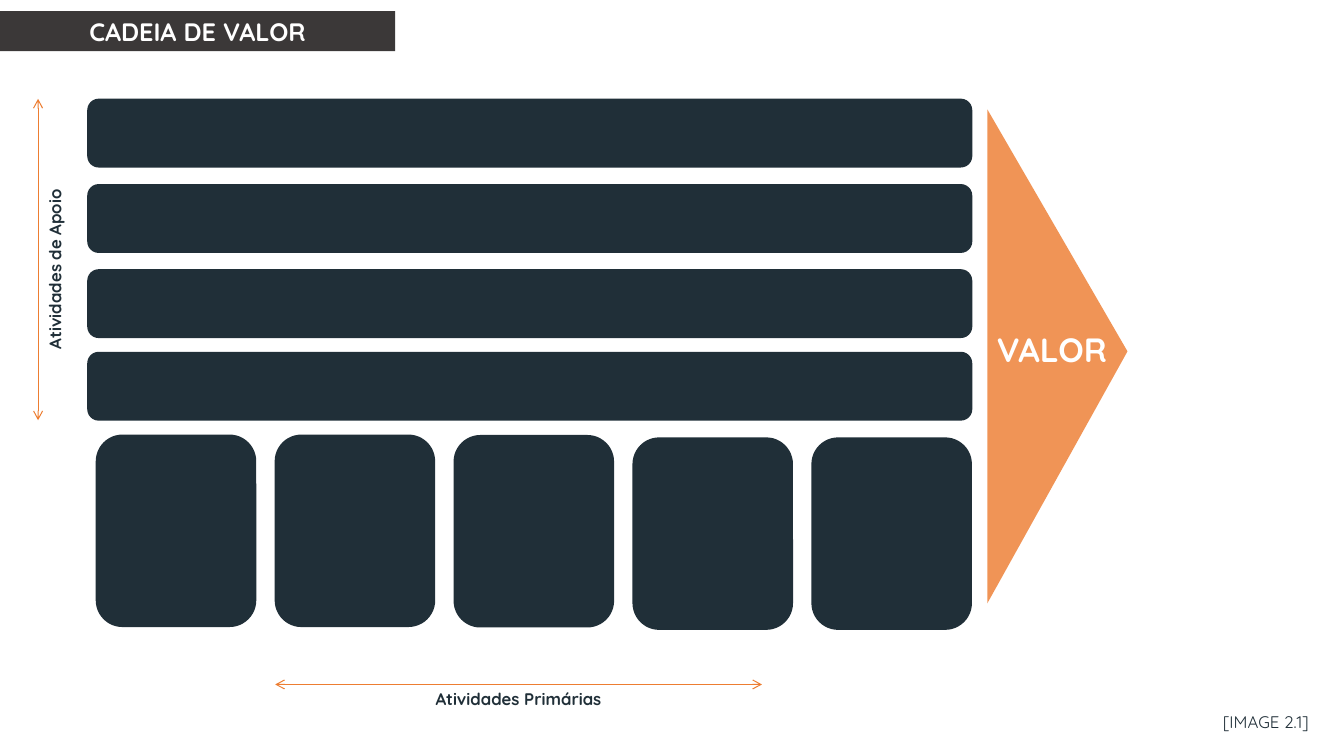
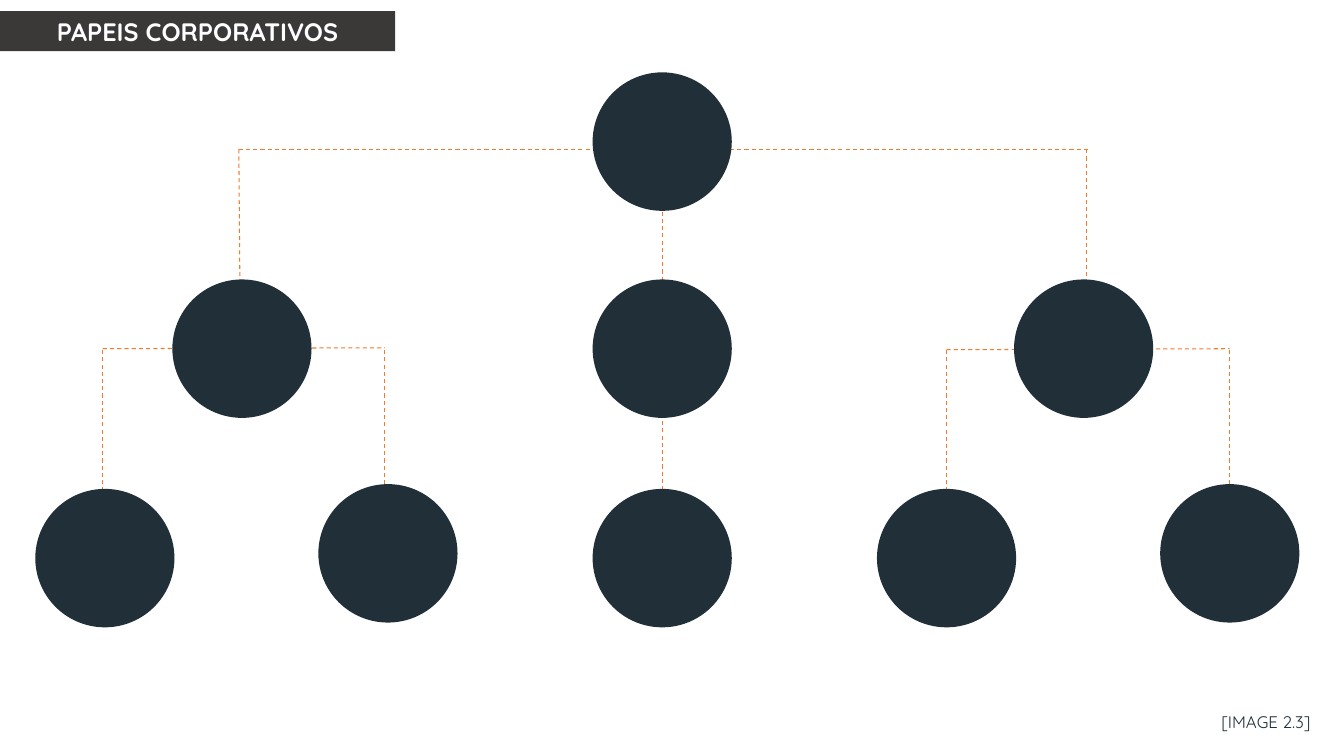
from dataclasses import dataclass

from pptx import Presentation
from pptx.dml.color import RGBColor
from pptx.enum.dml import MSO_LINE
from pptx.enum.shapes import MSO_CONNECTOR, MSO_SHAPE
from pptx.enum.text import MSO_ANCHOR, MSO_AUTO_SIZE, PP_ALIGN
from pptx.oxml.ns import qn
from pptx.shapes.autoshape import Shape
from pptx.slide import Slide
from pptx.util import Pt
from lxml import etree

RECTANGLE = MSO_SHAPE.RECTANGLE
ROUNDED = MSO_SHAPE.ROUNDED_RECTANGLE
TRIANGLE = MSO_SHAPE.ISOSCELES_TRIANGLE
OVAL = MSO_SHAPE.OVAL
STRAIGHT = MSO_CONNECTOR.STRAIGHT
DASH = MSO_LINE.DASH
MIDDLE = MSO_ANCHOR.MIDDLE
CENTER = PP_ALIGN.CENTER
GROW = MSO_AUTO_SIZE.SHAPE_TO_FIT_TEXT

FONT = "Quicksand"
COLORS = {
    "navy": "202F38",
    "band": "3B3838",
    "value": "F09456",
    "line": "ED7D31",
    "white": "FFFFFF",
}


@dataclass(frozen=True)
class Box:
    left: float
    top: float
    width: float
    height: float


@dataclass(frozen=True)
class TextStyle:
    size: float
    color: str
    bold: bool = True


@dataclass(frozen=True)
class Label:
    text: str
    box: Box
    style: TextStyle
    wrap: bool = False
    rotation: float = 0


@dataclass(frozen=True)
class Line:
    start_x: float
    start_y: float
    end_x: float
    end_y: float


TITLE_STYLE = TextStyle(18, "white")
VALUE_STYLE = TextStyle(24, "white")
LABEL_STYLE = TextStyle(12, "navy")
FOOTER_STYLE = TextStyle(12, "navy", bold=False)

TITLE_BOX = Box(0, 8, 282.2, 28.6)
FOOTER_BOX = Box(862.5, 504.7, 83.5, 21.8)

SUPPORT_TOPS = (70.5, 131.5, 192.3, 251.3)
PRIMARY_TOPS = (310.4, 310.4, 310.7, 312.4, 312.4)
PRIMARY_LEFT = 68.4
PRIMARY_STEP = 127.8
VALUE_BOX = Box(578.9, 204.5, 352.8, 100.1)

CHAIN_LABELS = (
    Label("VALOR", Box(701.3, 231.1, 100.1, 36), VALUE_STYLE, wrap=True),
    Label("Atividades Primárias", Box(303.8, 488.2, 133.2, 21.8), LABEL_STYLE),
    Label("Atividades de Apoio", Box(-28.1, 181.4, 134.6, 21.8), LABEL_STYLE,
          rotation=270),
)
CHAIN_ARROWS = (
    Line(196.6, 488.9, 544.3, 488.9),
    Line(27.2, 70.6, 27.2, 300.2),
)

NODE_WIDTH = 99.4
NODE_HEIGHT = 98.9
LEFT_X, CENTER_X, RIGHT_X = 123.1, 423.3, 724.3
ROLE_NODES = (
    (CENTER_X, 51.7),
    (LEFT_X, 199.6), (CENTER_X, 199.6), (RIGHT_X, 199.6),
    (25.2, 349.2), (227.4, 345.8), (CENTER_X, 349.2),
    (626.4, 349.2), (828.7, 345.8),
)
TRUNK_LINES = (
    Line(473, 89.3, 473, 447.8),
    Line(170.6, 106.6, 776.9, 106.6),
    Line(170.6, 106.6, 172.1, 298.1),
    Line(776.2, 106.6, 776.2, 297.4),
)
BRANCH_LINES = (
    Line(676.1, 249.8, 878.4, 249.1),
    Line(73.4, 249.1, 275, 248.4),
)


def add_text(shape: Shape, text: str, style: TextStyle) -> None:
    paragraph = shape.text_frame.paragraphs[0]
    paragraph.alignment = CENTER
    run = paragraph.add_run()
    run.text = text
    run.font.name = FONT
    run.font.size = Pt(style.size)
    run.font.bold = style.bold
    run.font.color.rgb = RGBColor.from_string(COLORS[style.color])


def add_block(slide: Slide, preset: MSO_SHAPE, box: Box, color: str) -> Shape:
    shape = slide.shapes.add_shape(
        preset, Pt(box.left), Pt(box.top), Pt(box.width), Pt(box.height))
    shape.shadow.inherit = False
    shape.fill.solid()
    shape.fill.fore_color.rgb = RGBColor.from_string(COLORS[color])
    shape.line.fill.background()
    return shape


def add_label(slide: Slide, label: Label) -> None:
    box = label.box
    shape = slide.shapes.add_textbox(
        Pt(box.left), Pt(box.top), Pt(box.width), Pt(box.height))
    shape.rotation = label.rotation
    shape.text_frame.word_wrap = label.wrap
    shape.text_frame.auto_size = GROW
    add_text(shape, label.text, label.style)


def add_line(slide: Slide, line: Line, dashed: bool = False) -> None:
    connector = slide.shapes.add_connector(
        STRAIGHT, Pt(line.start_x), Pt(line.start_y),
        Pt(line.end_x), Pt(line.end_y))
    connector.line.color.rgb = RGBColor.from_string(COLORS["line"])
    connector.line.width = Pt(0.75)
    properties = connector.element.spPr
    if dashed:
        connector.line.dash_style = DASH
    else:
        outline = properties.find(qn("a:ln"))
        for tag in ("a:headEnd", "a:tailEnd"):
            etree.SubElement(outline, qn(tag), type="arrow")
    etree.SubElement(properties, qn("a:effectLst"))


def add_frame(slide: Slide, title: str, footer: str) -> None:
    band = add_block(slide, RECTANGLE, TITLE_BOX, "band")
    band.text_frame.vertical_anchor = MIDDLE
    add_text(band, title, TITLE_STYLE)
    add_label(slide, Label(footer, FOOTER_BOX, FOOTER_STYLE))


def draw_value_chain(slide: Slide) -> None:
    for top in SUPPORT_TOPS:
        add_block(slide, ROUNDED, Box(62.3, top, 632.2, 49.2), "navy")
    for index, top in enumerate(PRIMARY_TOPS):
        left = PRIMARY_LEFT + index * PRIMARY_STEP
        add_block(slide, ROUNDED, Box(left, top, 114.7, 137.5), "navy")
    value = add_block(slide, TRIANGLE, VALUE_BOX, "value")
    value.adjustments[0] = 0.49
    value.rotation = 90
    for arrow in CHAIN_ARROWS:
        add_line(slide, arrow)
    for label in CHAIN_LABELS:
        add_label(slide, label)
    add_frame(slide, "CADEIA DE VALOR", "[IMAGE 2.1]")


def draw_corporate_roles(slide: Slide) -> None:
    for line in TRUNK_LINES + BRANCH_LINES:
        add_line(slide, line, dashed=True)
    for branch in BRANCH_LINES:
        for x, y in ((branch.start_x, branch.start_y),
                     (branch.end_x, branch.end_y)):
            add_line(slide, Line(x, 413, x, y), dashed=True)
    for left, top in ROLE_NODES:
        add_block(slide, OVAL, Box(left, top, NODE_WIDTH, NODE_HEIGHT), "navy")
    add_frame(slide, "PAPEIS CORPORATIVOS", "[IMAGE 2.3]")


def main() -> None:
    presentation = Presentation()
    presentation.slide_width = Pt(960)
    presentation.slide_height = Pt(540)
    blank = presentation.slide_layouts[6]
    for draw in (draw_value_chain, draw_corporate_roles):
        draw(presentation.slides.add_slide(blank))
    presentation.save("out.pptx")


main()
